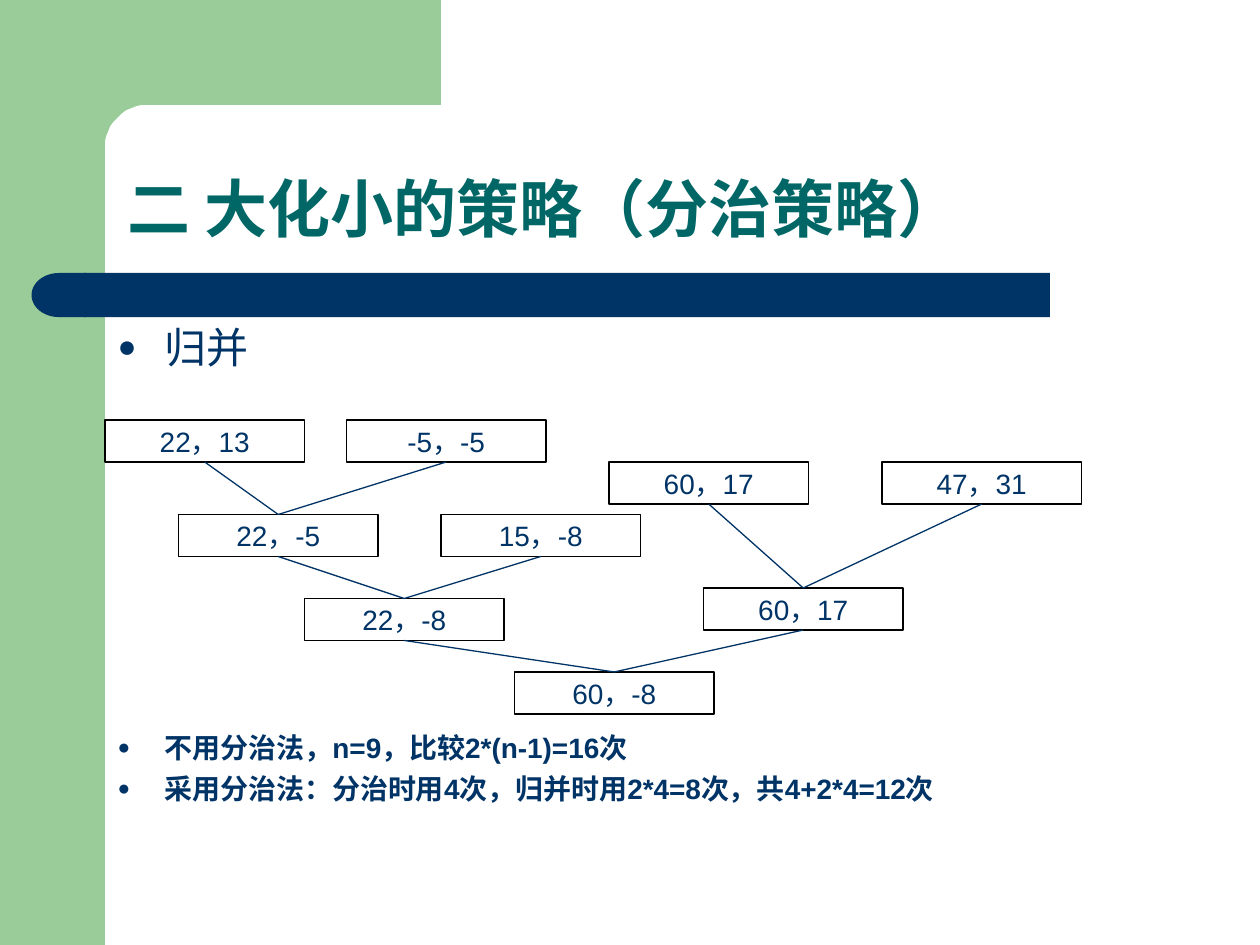
from math import cos, pi, sin

from lxml.etree import SubElement
from pptx import Presentation
from pptx.dml.color import RGBColor
from pptx.enum.shapes import MSO_CONNECTOR as Connector, MSO_SHAPE as Shape
from pptx.enum.text import MSO_ANCHOR as Anchor, MSO_AUTO_SIZE as AutoSize, PP_ALIGN as Align
from pptx.oxml.ns import qn
from pptx.util import Pt

PX = 7620
BOX_WIDTH, BOX_HEIGHT = 190, 40
GREEN = RGBColor(0x99, 0xCC, 0x99)
NAVY = RGBColor(0x00, 0x33, 0x66)
TEAL = RGBColor(0x00, 0x66, 0x66)
WHITE = RGBColor(0xFF, 0xFF, 0xFF)
BLACK = RGBColor(0x00, 0x00, 0x00)


class Deck:
    """Holds the shared style and the slide being built."""

    font = "Arial"
    thin = Pt(0.75)

    def __init__(self, width, height):
        self.presentation = Presentation()
        self.presentation.slide_width = width * PX
        self.presentation.slide_height = height * PX
        self.slide = self.presentation.slides.add_slide(self.presentation.slide_layouts[1])
        self.shapes = self.slide.shapes

    def paint(self, shape, fill, line=None):
        shape.shadow.inherit = False
        shape.fill.solid()
        shape.fill.fore_color.rgb = fill
        if line is None:
            shape.line.fill.background()
        else:
            shape.line.color.rgb = line
            shape.line.width = self.thin

    def style(self, paragraph, size, color, bold=False):
        for run in paragraph.runs:
            run.font.name = self.font
            run.font.size = Pt(size)
            run.font.bold = bold
            run.font.color.rgb = color

    def block(self, kind, place, fill, line=None):
        shape = self.shapes.add_shape(kind, *(length * PX for length in place))
        self.paint(shape, fill, line)
        return shape

    def outline(self, points, fill):
        builder = self.shapes.build_freeform(*points[0], scale=PX)
        builder.add_line_segments(points[1:], close=True)
        self.paint(builder.convert_to_shape(), fill)

    def placeholder(self, index, place):
        holder = self.slide.placeholders[index]
        holder.left, holder.top, holder.width, holder.height = (length * PX for length in place)
        self.shapes._spTree.append(holder._element)
        holder.text_frame.auto_size = AutoSize.NONE
        return holder.text_frame

    def title(self, place, text):
        frame = self.placeholder(0, place)
        frame.text = text
        frame.vertical_anchor = Anchor.BOTTOM
        heading = frame.paragraphs[0]
        heading.alignment = Align.LEFT
        heading.line_spacing = 0.9
        self.style(heading, 36, TEAL, bold=True)

    def bullets(self, place, items, indent):
        frame = self.placeholder(1, place)
        frame.text = "\n".join(text for text, *_ in items)
        for item, (_, size, bold, space) in zip(frame.paragraphs, items):
            item.space_before = Pt(space)
            self.style(item, size, NAVY, bold)
            properties = item._p.get_or_add_pPr()
            properties.set("marL", str(indent * PX))
            properties.set("indent", str(-indent * PX))
            color = SubElement(properties, qn("a:buClr"))
            SubElement(color, qn("a:srgbClr"), val=str(NAVY))
            SubElement(properties, qn("a:buSzPct"), val="75000")
            SubElement(properties, qn("a:buFont"), typeface=self.font)
            SubElement(properties, qn("a:buChar"), char="●")

    def box(self, left, top, text):
        shape = self.block(Shape.RECTANGLE, (left, top, BOX_WIDTH, BOX_HEIGHT), WHITE, BLACK)
        frame = shape.text_frame
        frame.word_wrap = False
        frame.vertical_anchor = Anchor.MIDDLE
        frame.text = text
        frame.paragraphs[0].alignment = Align.CENTER
        self.style(frame.paragraphs[0], 16, NAVY)
        return shape

    def link(self, merged, part):
        line = self.shapes.add_connector(Connector.STRAIGHT, 0, 0, 0, 0)
        line.begin_connect(merged, 0)
        line.end_connect(part, 2)
        line.line.color.rgb = NAVY
        line.line.width = self.thin
        SubElement(line._element.spPr, qn("a:effectLst"))


def main():
    deck = Deck(1200, 900)

    deck.block(Shape.RECTANGLE, (0, 0, 100, 900), GREEN)
    angles = [step * pi / 24 for step in range(13)]
    corner = [(140 - 40 * sin(angle), 140 - 40 * cos(angle)) for angle in angles]
    deck.outline([(420, 0), (420, 100), *corner, (100, 154), (60, 154), (60, 0)], GREEN)
    deck.block(Shape.RECTANGLE, (80, 260, 920, 42), NAVY)
    deck.block(Shape.FLOWCHART_DELAY, (30, 260, 52, 42), NAVY).rotation = 180

    deck.title((109, 109, 1021, 131), "二 大化小的策略（分治策略）")
    deck.bullets((100, 300, 1009, 488), [
        ("归并", 24, False, 6),
        ("不用分治法，n=9，比较2*(n-1)=16次", 16, True, 205),
        ("采用分治法：分治时用4次，归并时用2*4=8次，共4+2*4=12次", 16, True, 4),
    ], indent=45)

    ranges = {
        "all": (490, 640, "60，-8"),
        "left": (290, 570, "22，-8"),
        "right": (670, 560, "60，17"),
        "left pair": (170, 490, "22，-5"),
        "left rest": (420, 490, "15，-8"),
        "first": (100, 400, "22，13"),
        "second": (330, 400, "-5，-5"),
        "third": (580, 440, "60，17"),
        "fourth": (840, 440, "47，31"),
    }
    merges = {
        "all": ("left", "right"),
        "left": ("left pair", "left rest"),
        "right": ("third", "fourth"),
        "left pair": ("first", "second"),
    }
    boxes = {name: deck.box(*spot) for name, spot in ranges.items()}
    for merged, parts in merges.items():
        for part in parts:
            deck.link(boxes[merged], boxes[part])

    deck.presentation.save("out.pptx")


if __name__ == "__main__":
    main()
